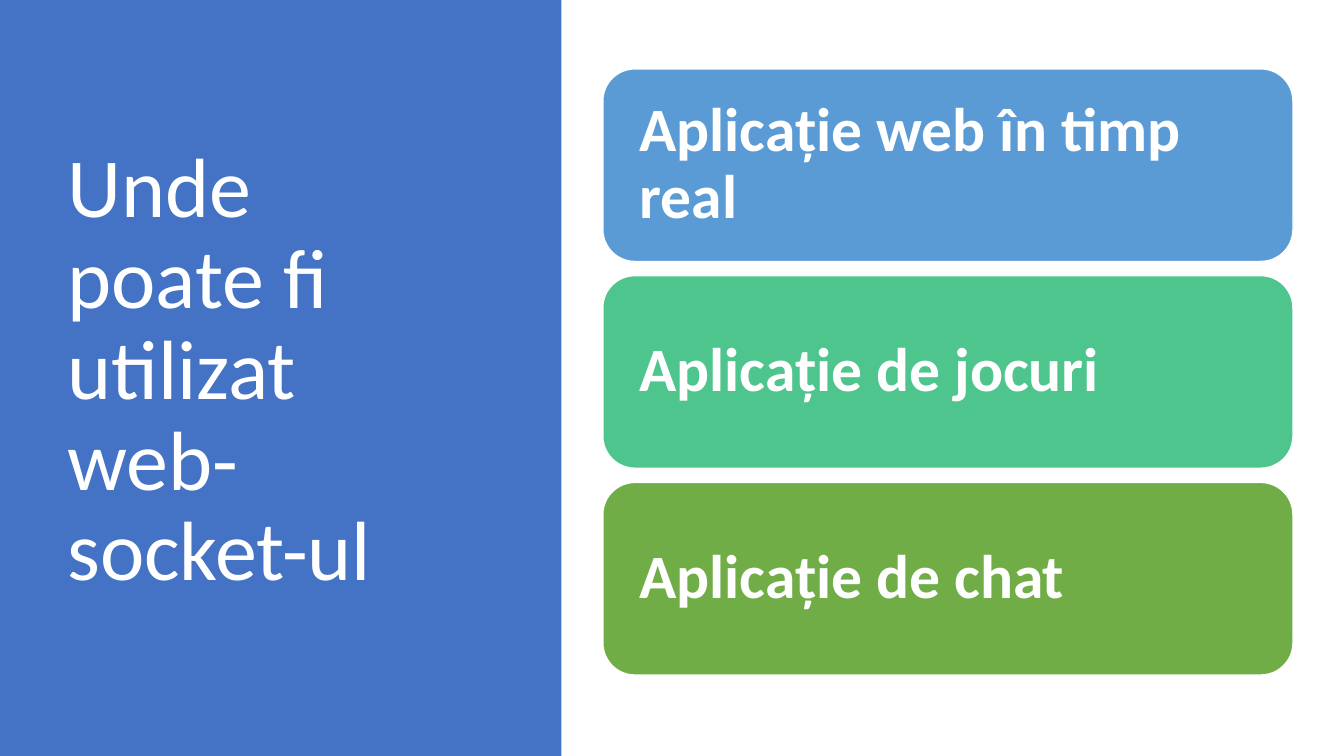
from typing import NamedTuple

from pptx import Presentation
from pptx.dml.color import RGBColor
from pptx.enum.shapes import MSO_SHAPE
from pptx.enum.text import MSO_ANCHOR, PP_ALIGN
from pptx.util import Pt

RECTANGLE = MSO_SHAPE.RECTANGLE
ROUNDED = MSO_SHAPE.ROUNDED_RECTANGLE
MIDDLE = MSO_ANCHOR.MIDDLE
LEFT = PP_ALIGN.LEFT

FONT = "Calibri"
WHITE = "FFFFFF"
SLIDE_WIDTH, SLIDE_HEIGHT = 960, 540
CARD_LEFT, CARD_TOP, CARD_WIDTH, CARD_HEIGHT = 430.6, 49.2, 493, 137.6
CARD_PITCH = 147.7


class Box(NamedTuple):
    left: float
    top: float
    width: float
    height: float


class Application(NamedTuple):
    label: str
    fill: str


APPLICATIONS = [
    Application("Aplicație web în timp real", "5B9BD5"),
    Application("Aplicație de jocuri", "4DC58D"),
    Application("Aplicație de chat", "70AD47"),
]


def color(value: str) -> RGBColor:
    return RGBColor.from_string(value)


def add_panel(slide, kind, box: Box, fill: str):
    panel = slide.shapes.add_shape(kind, *map(Pt, box))
    panel.shadow.inherit = False
    panel.fill.solid()
    panel.fill.fore_color.rgb = color(fill)
    panel.line.fill.background()
    return panel


def write(frame, text: str, size: float, bold: bool, left: float, right: float) -> None:
    frame.word_wrap = True
    frame.vertical_anchor = MIDDLE
    frame.margin_left, frame.margin_right = Pt(left), Pt(right)
    paragraph = frame.paragraphs[0]
    paragraph.text = text
    paragraph.alignment = LEFT
    paragraph.line_spacing = 0.9
    paragraph.font.name = FONT
    paragraph.font.size = Pt(size)
    paragraph.font.bold = bold
    paragraph.font.color.rgb = color(WHITE)


def add_card(slide, index: int, application: Application) -> None:
    box = Box(CARD_LEFT, CARD_TOP + index * CARD_PITCH, CARD_WIDTH, CARD_HEIGHT)
    card = add_panel(slide, ROUNDED, box, application.fill)
    card.line.color.rgb = color(WHITE)
    card.line.width = Pt(1)
    write(card.text_frame, application.label, 44, True, 19.5, 19.5)


presentation = Presentation()
presentation.slide_width = Pt(SLIDE_WIDTH)
presentation.slide_height = Pt(SLIDE_HEIGHT)
slide = presentation.slides.add_slide(presentation.slide_layouts[6])

add_panel(slide, RECTANGLE, Box(0, 0, 401, SLIDE_HEIGHT), "4472C4")
title = slide.shapes.add_textbox(Pt(41), Pt(49), Pt(299.5), Pt(433.5))
write(title.text_frame, "Unde poate fi utilizat web-socket-ul", 60, False, 7.2, 14.4)

for index, application in enumerate(APPLICATIONS):
    add_card(slide, index, application)

presentation.save("out.pptx")
